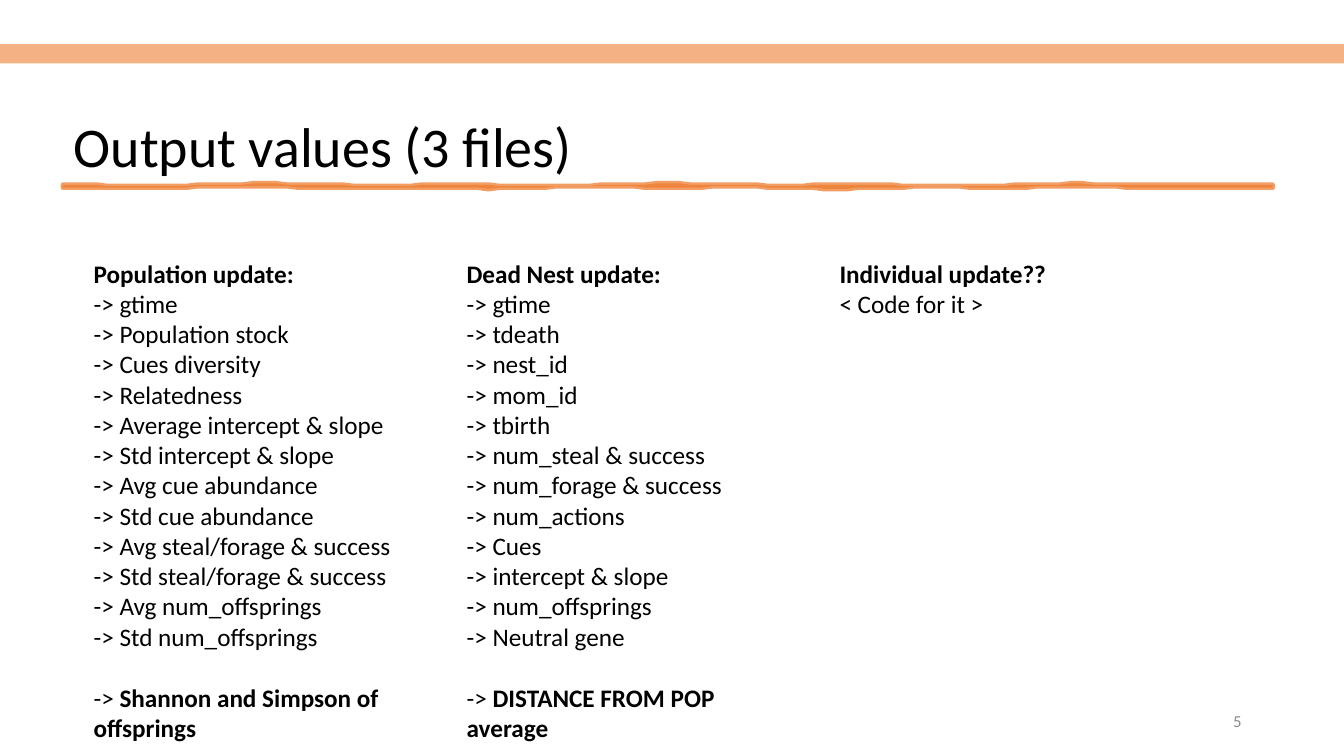
from collections import namedtuple
from dataclasses import dataclass
from math import sin

from pptx import Presentation
from pptx.dml.color import RGBColor
from pptx.enum import text
from pptx.oxml import parse_xml
from pptx.oxml.ns import nsdecls
from pptx.util import Pt

Box = namedtuple("Box", "left top width height")


@dataclass(frozen=True)
class Theme:
    font: str = "Calibri"
    ink: str = "000000"
    muted: str = "8C8C8C"
    band: str = "F4B183"
    stroke: str = "ED7D31"
    title_size: int = 40
    body_size: int = 18
    number_size: int = 12
    body_line: int = 22


THEME = Theme()
PAGE = Box(0, 0, 960, 540)

# Heading, plain entries, bold closing entry
COLUMNS = [
    ("Population update:",
     ["-> gtime", "-> Population stock", "-> Cues diversity", "-> Relatedness",
      "-> Average intercept & slope", "-> Std intercept & slope",
      "-> Avg cue abundance", "-> Std cue abundance",
      "-> Avg steal/forage & success", "-> Std steal/forage & success",
      "-> Avg num_offsprings", "-> Std num_offsprings"],
     "Shannon and Simpson of offsprings"),
    ("Dead Nest update:",
     ["-> gtime", "-> tdeath", "-> nest_id", "-> mom_id", "-> tbirth",
      "-> num_steal & success", "-> num_forage & success", "-> num_actions",
      "-> Cues", "-> intercept & slope", "-> num_offsprings",
      "-> Neutral gene"],
     "DISTANCE FROM POP average"),
    ("Individual update??", ["< Code for it >"], None),
]


def in_points(box):
    return [Pt(value) for value in box]


def style(para, size, color=THEME.ink, bold=False):
    for span in para.runs:
        span.font.name = THEME.font
        span.font.size = Pt(size)
        span.font.bold = bold
        span.font.color.rgb = RGBColor.from_string(color)


def add_text_box(page, box):
    frame = page.shapes.add_textbox(*in_points(box)).text_frame
    frame.word_wrap = True
    return frame


def add_title(page, box, wording):
    title = page.shapes.title
    title.left, title.top, title.width, title.height = in_points(box)
    frame = title.text_frame
    frame.text = wording
    frame.auto_size = text.MSO_AUTO_SIZE.NONE
    frame.vertical_anchor = text.MSO_ANCHOR.BOTTOM
    para = frame.paragraphs[0]
    para.alignment = text.PP_ALIGN.LEFT
    para.line_spacing = 0.9
    style(para, THEME.title_size)


def add_brush_line(page, box):
    """Draw a translucent brush stroke whose two edges waver independently."""
    steps = range(0, box.width + 1, 8)
    upper = [(box.left + x, box.top + 0.9 * sin(x / 31) * sin(x / 88))
             for x in steps]
    lower = [(box.left + x, box.top + box.height + 0.9 * sin(x / 27) * sin(x / 70))
             for x in reversed(steps)]
    outline = page.shapes.build_freeform(*upper[0], scale=Pt(1))
    outline.add_line_segments(upper[1:] + lower, close=True)
    brush = outline.convert_to_shape()
    brush.shadow.inherit = False
    brush.fill.solid()
    brush.line.width = Pt(3.5)
    brush.line.fill.solid()
    for paint in (brush.fill, brush.line.fill):
        paint.fore_color.rgb = RGBColor.from_string(THEME.stroke)
    for color in brush.element.spPr.xpath(".//a:srgbClr"):
        color.append(parse_xml(f'<a:alpha {nsdecls("a")} val="75000"/>'))
    brush.line._get_or_add_ln().append(parse_xml(f'<a:round {nsdecls("a")}/>'))


def add_band(page, box):
    band = page.shapes.add_shape(1, *in_points(box))
    band.shadow.inherit = False
    band.fill.solid()
    band.fill.fore_color.rgb = RGBColor.from_string(THEME.band)
    band.line.fill.background()


def add_page_number(page, box, number):
    frame = add_text_box(page, box)
    frame.vertical_anchor = text.MSO_ANCHOR.MIDDLE
    frame.text = str(number)
    para = frame.paragraphs[0]
    para.alignment = text.PP_ALIGN.RIGHT
    style(para, THEME.number_size, THEME.muted)


def add_column(page, box, heading, entries, closing):
    frame = add_text_box(page, box)
    frame.auto_size = text.MSO_AUTO_SIZE.SHAPE_TO_FIT_TEXT
    frame.text = "\n".join([heading, *entries])
    for index, para in enumerate(frame.paragraphs):
        style(para, THEME.body_size, bold=index == 0)
    if closing:
        para = frame.add_paragraph()
        para.space_before = Pt(THEME.body_line)
        for wording in ("-> ", closing):
            para.add_run().text = wording
        style(para, THEME.body_size)
        para.runs[-1].font.bold = True


def add_columns(page, box, columns, gap):
    width = (box.width - gap * (len(columns) - 1)) / len(columns)
    for index, (heading, entries, closing) in enumerate(columns):
        left = box.left + index * (width + gap)
        height = box.height if closing else 72.8
        add_column(page, Box(left, box.top, width, height),
                   heading, entries, closing)


def build_output_values(page, box):
    margin = 45.4
    add_title(page, Box(box.left + margin, box.top + 18.7, 867.6, 113),
              "Output values (3 files)")
    add_brush_line(page, Box(box.left + margin, box.top + 132.3, 864, 1.4))
    add_page_number(page, Box(box.left + 678, box.top + 500.5, 216, 28.8), 5)
    add_band(page, Box(box.left, box.top + 31.5, box.width, 13.8))
    add_columns(page, Box(box.left + 59.8, box.top + 180.7, 777.6, 356.4),
                COLUMNS, gap=21.6)


def main():
    deck = Presentation()
    deck.slide_width, deck.slide_height = Pt(PAGE.width), Pt(PAGE.height)
    page = deck.slides.add_slide(deck.slide_layouts.get_by_name("Title Only"))
    build_output_values(page, PAGE)
    deck.save("out.pptx")


if __name__ == "__main__":
    main()
